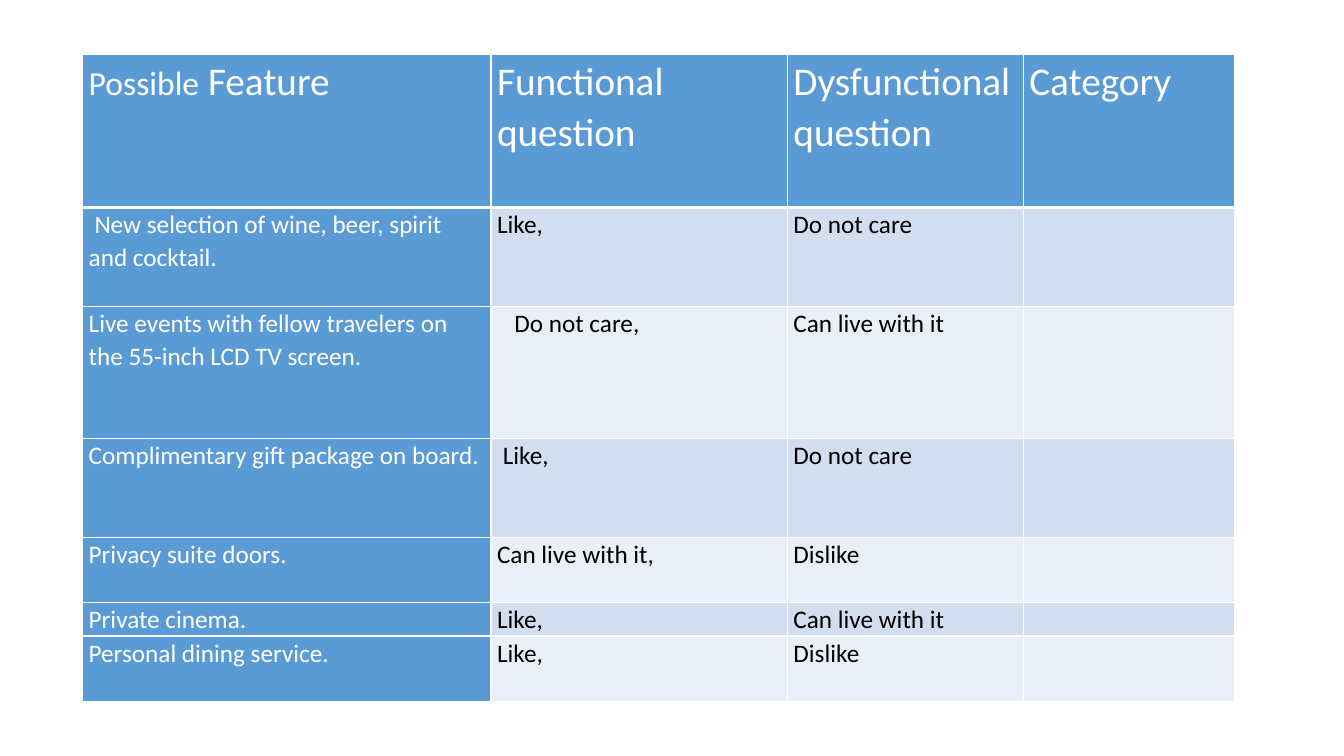
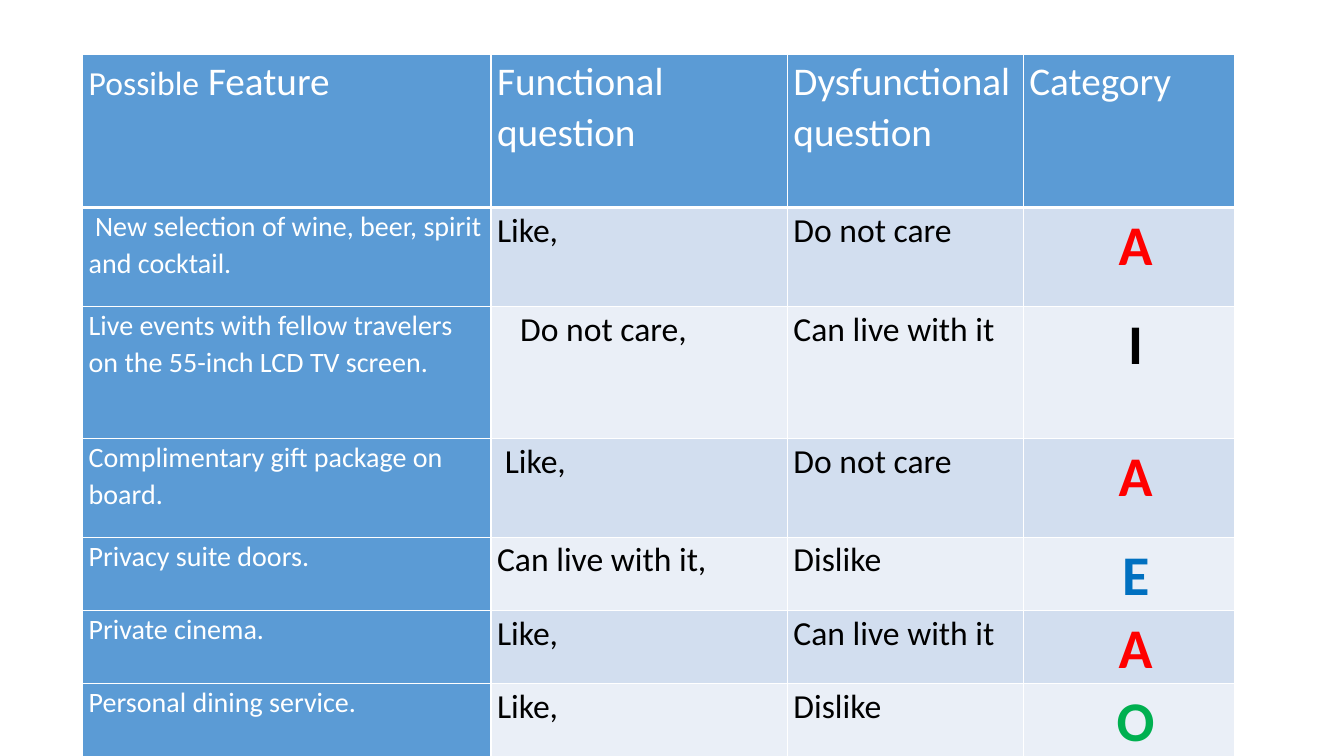
from dataclasses import dataclass

from lxml import etree
from pptx import Presentation
from pptx import util as u
from pptx.dml import color
from pptx.enum import text as t
from pptx.oxml import ns


@dataclass(frozen=True)
class Theme:
    font: str = "Calibri"
    white: str = "FFFFFF"
    black: str = "000000"
    accent: str = "5B9BD5"
    bands: tuple = ("D2DEEF", "EAEFF7")
    header_size: int = 28
    header_lead_size: int = 24
    category_size: int = 40
    line_spacing: float = 1.07
    space_before: int = 15
    space_after: int = 17
    cell_inset: float = 0.06
    border: int = 1
    header_rule: int = 3


THEME = Theme()
SPACE = 0.23

COLUMNS = (4.05, 2.94, 2.34, 2.1)
ROWS = (1.52, 0.98, 1.31, 0.98, 0.65, 0.33, 0.65)
HEADERS = (
    (("Possible", THEME.header_lead_size), (" Feature", THEME.header_size)),
    (("Functional question", THEME.header_size),),
    (("Dysfunctional question", THEME.header_size),),
    (("Category", THEME.header_size),),
)
FEATURES = (
    ("New selection of wine, beer, spirit and cocktail.", "Like,", "Do not care", "A"),
    ("Live events with fellow travelers on the 55-inch LCD TV screen.",
     "Do not care,", "Can live with it", "I"),
    ("Complimentary gift package on board.", "Like,", "Do not care", "A"),
    ("Privacy suite doors.", "Can live with it,", "Dislike", "E"),
    ("Private cinema.", "Like,", "Can live with it", "A"),
    ("Personal dining service.", "Like,", "Dislike", "O"),
)
INDENTS = {(1, 0): SPACE, (2, 1): 3 * SPACE, (3, 1): SPACE}
CATEGORY_COLORS = {"A": "FF0000", "I": THEME.black, "E": "0070C0", "O": "00B050"}


def write(frame, runs, ink, bold=False, align=t.PP_ALIGN.LEFT, indent=0):
    paragraph = frame.paragraphs[0]
    paragraph.alignment = align
    paragraph.line_spacing = THEME.line_spacing
    paragraph.space_before = u.Pt(THEME.space_before)
    paragraph.space_after = u.Pt(THEME.space_after)
    if indent:
        first_line = u.Pt(indent * runs[0][1])
        paragraph._p.get_or_add_pPr().set("indent", str(first_line))
    for words, size in runs:
        run = paragraph.add_run()
        run.text = words
        run.font.name = THEME.font
        run.font.size = u.Pt(size)
        run.font.bold = bold
        run.font.color.rgb = color.RGBColor.from_string(ink)


class Deck:
    def __init__(self, theme):
        self.theme = theme
        self.presentation = Presentation()
        self.presentation.slide_width = u.Inches(13.33)
        self.presentation.slide_height = u.Inches(7.5)
        self.slide = None

    def new_slide(self):
        blank = self.presentation.slide_layouts[6]
        self.slide = self.presentation.slides.add_slide(blank)

    def style_cell(self, cell, fill, bottom):
        inset = u.Inches(self.theme.cell_inset)
        cell.margin_left = cell.margin_right = inset
        cell.margin_top = cell.margin_bottom = 0
        properties = cell._tc.get_or_add_tcPr()
        border = self.theme.border
        for side, width in (("L", border), ("R", border), ("T", border), ("B", bottom)):
            line = etree.SubElement(properties, ns.qn(f"a:ln{side}"), w=str(u.Pt(width)))
            solid = etree.SubElement(line, ns.qn("a:solidFill"))
            etree.SubElement(solid, ns.qn("a:srgbClr"), val=self.theme.white)
        cell.fill.solid()
        cell.fill.fore_color.rgb = color.RGBColor.from_string(fill)

    def survey_table(self, feature_size, answer_size, show_category):
        theme = self.theme
        survey = self.slide.shapes.add_table(
            len(ROWS), len(COLUMNS), u.Inches(0.82), u.Inches(0.54),
            u.Inches(sum(COLUMNS)), u.Inches(sum(ROWS))).table
        survey.first_col = True
        for column, width in zip(survey.columns, COLUMNS):
            column.width = u.Inches(width)
        for row, height in zip(survey.rows, ROWS):
            row.height = u.Inches(height)

        for index, runs in enumerate(HEADERS):
            heading = survey.cell(0, index)
            self.style_cell(heading, theme.accent, theme.header_rule)
            write(heading.text_frame, runs, theme.white)

        for row, (*entries, category) in enumerate(FEATURES, start=1):
            band = theme.bands[(row - 1) % 2]
            for index, entry in enumerate(entries):
                is_feature = index == 0
                cell = survey.cell(row, index)
                self.style_cell(cell, theme.accent if is_feature else band, theme.border)
                size = feature_size if is_feature else answer_size
                write(cell.text_frame, ((entry, size),),
                      theme.white if is_feature else theme.black,
                      indent=INDENTS.get((row, index), 0))
            verdict = survey.cell(row, len(entries))
            self.style_cell(verdict, band, theme.border)
            if show_category:
                write(verdict.text_frame, ((category, theme.category_size),),
                      CATEGORY_COLORS[category], bold=True,
                      align=t.PP_ALIGN.CENTER, indent=SPACE)


def main():
    deck = Deck(THEME)
    for feature_size, answer_size, show_category in ((18, 18, False), (20, 24, True)):
        deck.new_slide()
        deck.survey_table(feature_size, answer_size, show_category)
    deck.presentation.save("out.pptx")


if __name__ == "__main__":
    main()
